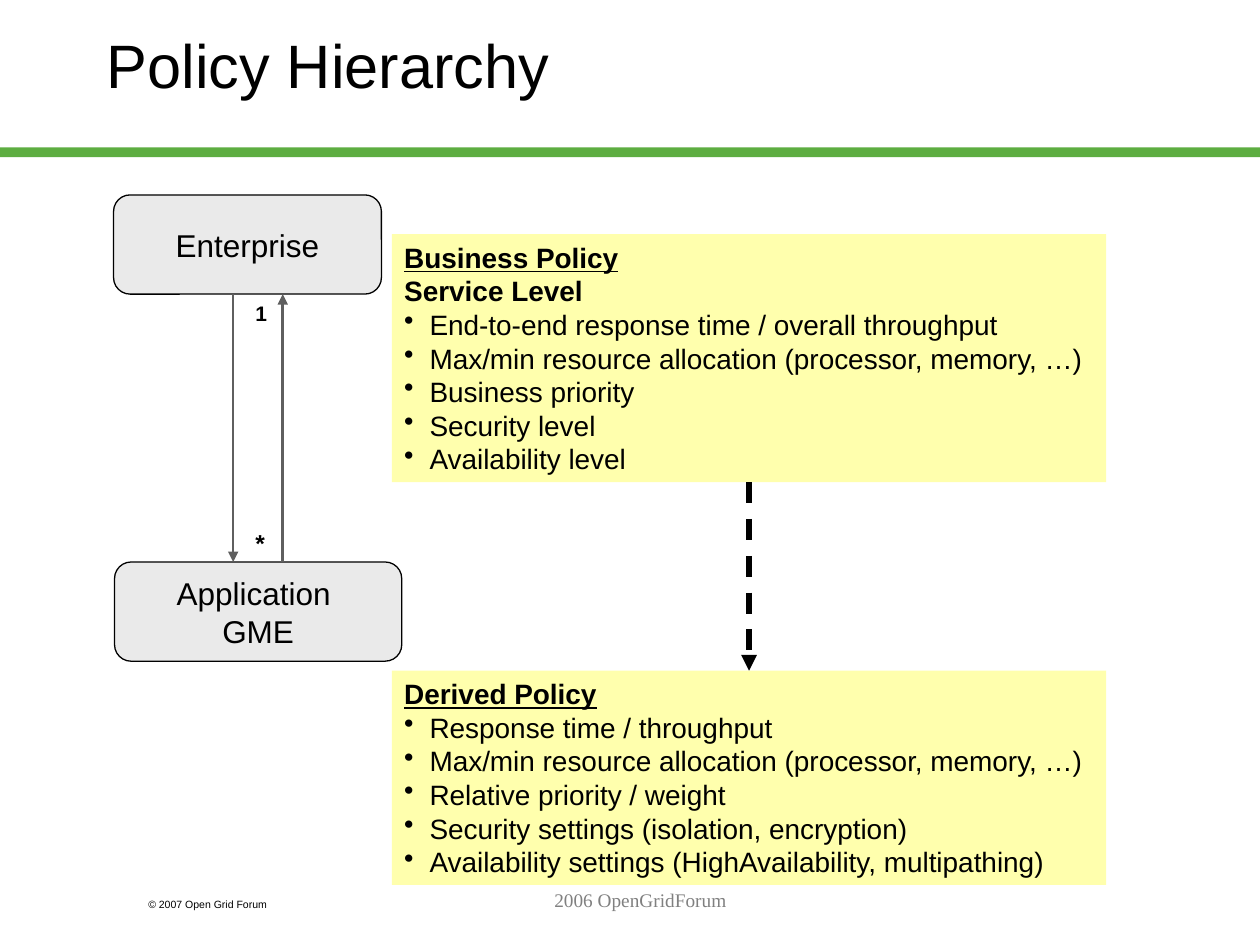
from dataclasses import dataclass

import pptx
import pptx.dml.color
import pptx.enum.dml
import pptx.enum.shapes
import pptx.enum.text
import pptx.oxml.ns
import pptx.util
from lxml import etree

Cm, Pt = pptx.util.Cm, pptx.util.Pt
RGB = pptx.dml.color.RGBColor.from_string
qn = pptx.oxml.ns.qn
MSO = pptx.enum.shapes.MSO_SHAPE
ALIGN = pptx.enum.text.PP_ALIGN
ANCHOR = pptx.enum.text.MSO_ANCHOR


@dataclass(frozen=True)
class Theme:
    font: str = "Arial"
    footer_font: str = "Times New Roman"
    ink: str = "000000"
    bar: str = "5DAD41"
    node: str = "EAEAEA"
    policy: str = "FFFF99"
    arrow: str = "5F5F5F"
    footer: str = "808080"
    title_pt: float = 35
    node_pt: float = 18
    policy_pt: float = 16
    star_pt: float = 14
    label_pt: float = 12
    footer_pt: float = 11
    copyright_pt: float = 6


@dataclass(frozen=True)
class Box:
    left: float
    top: float
    width: float
    height: float

    def lengths(self):
        return Cm(self.left), Cm(self.top), Cm(self.width), Cm(self.height)


@dataclass(frozen=True)
class Node:
    text: str
    box: Box


@dataclass(frozen=True)
class Policy:
    heading: str
    subheading: str
    items: tuple[str, ...]
    box: Box


@dataclass(frozen=True)
class Label:
    text: str
    box: Box
    size: float
    bold: bool = False
    font: str = "Arial"
    color: str = "000000"
    align: ALIGN = ALIGN.LEFT
    wrap: bool = True


T = Theme()

NODES = (
    Node("Application \nGME", Box(2.31, 11.33, 5.79, 2)),
    Node("Enterprise", Box(2.29, 3.93, 5.4, 2)),
)

POLICIES = (
    Policy("Business Policy", "Service Level", (
        "End-to-end response time / overall throughput",
        "Max/min resource allocation (processor, memory, …)",
        "Business priority",
        "Security level",
        "Availability level",
    ), Box(7.9, 4.72, 14.4, 5)),
    Policy("Derived Policy", "", (
        "Response time / throughput",
        "Max/min resource allocation (processor, memory, …)",
        "Relative priority / weight",
        "Security settings (isolation, encryption)",
        "Availability settings (HighAvailability, multipathing)",
    ), Box(7.9, 13.52, 14.4, 4.32)),
)

LABELS = (
    Label("Policy Hierarchy", Box(1.9, 0.43, 21.6, 3.17), T.title_pt),
    Label("1", Box(4.9, 5.93, 0.74, 0.76), T.label_pt, bold=True, wrap=False),
    Label("*", Box(4.9, 10.51, 0.69, 0.86), T.star_pt, bold=True, wrap=False),
    Label("© 2007 Open Grid Forum", Box(2.74, 17.98, 3.81, 0.51), T.copyright_pt),
    Label("2006 OpenGridForum", Box(5.51, 17.78, 14.8, 1.27), T.footer_pt,
          font=T.footer_font, color=T.footer, align=ALIGN.CENTER),
)


def write(p, text: str, *, size: float, font: str = T.font, color: str = T.ink,
          bold: bool = False, underline: bool = False, bullet: bool = False,
          hanging: float = 0, align: ALIGN = ALIGN.LEFT) -> None:
    """Fill a paragraph; a newline in the text becomes a line break."""
    p.alignment = align
    if hanging:
        pPr = p._p.get_or_add_pPr()
        pPr.set("marL", str(Cm(hanging)))
        pPr.set("indent", str(-Cm(hanging)))
        if bullet:
            etree.SubElement(pPr, qn("a:buChar")).set("char", "•")
    for i, line in enumerate(text.split("\n")):
        if i:
            p.add_line_break()
        r = p.add_run()
        r.text = line
        r.font.name, r.font.size = font, Pt(size)
        r.font.bold, r.font.underline = bold, underline
        r.font.color.rgb = RGB(color)


def add_block(s, kind: MSO, box: Box, fill: str, line: str | None = None):
    sp = s.shapes.add_shape(kind, *box.lengths())
    sp.shadow.inherit = False
    sp.fill.solid()
    sp.fill.fore_color.rgb = RGB(fill)
    if line:
        sp.line.color.rgb = RGB(line)
        sp.line.width = Pt(0.75)
    else:
        sp.line.fill.background()
    return sp


def add_node(s, node: Node) -> None:
    sp = add_block(s, MSO.ROUNDED_RECTANGLE, node.box, T.node, T.ink)
    tf = sp.text_frame
    tf.word_wrap = False
    tf.vertical_anchor = ANCHOR.MIDDLE
    write(tf.paragraphs[0], node.text, size=T.node_pt, align=ALIGN.CENTER)


def add_policy(s, policy: Policy):
    sp = add_block(s, MSO.RECTANGLE, policy.box, T.policy)
    color = sp.fill._xPr.find(qn("a:solidFill"))[0]
    etree.SubElement(color, qn("a:alpha")).set("val", "80000")
    tf = sp.text_frame
    tf.word_wrap = True
    tf.vertical_anchor = ANCHOR.TOP
    style = dict(size=T.policy_pt, hanging=0.51)
    write(tf.paragraphs[0], policy.heading, bold=True, underline=True, **style)
    if policy.subheading:
        write(tf.add_paragraph(), policy.subheading, bold=True, **style)
    for item in policy.items:
        write(tf.add_paragraph(), item, bullet=True, **style)
    return sp


def add_label(s, label: Label) -> None:
    tf = s.shapes.add_textbox(*label.box.lengths()).text_frame
    tf.word_wrap = label.wrap
    write(tf.paragraphs[0], label.text, size=label.size, font=label.font,
          color=label.color, bold=label.bold, align=label.align)


def add_arrow(s, x: float, start: float, end: float, color: str, width: float,
              dashed: bool = False):
    """Draw a vertical arrow whose head is at the end."""
    c = s.shapes.add_connector(pptx.enum.shapes.MSO_CONNECTOR.STRAIGHT,
                               Cm(x), Cm(start), Cm(x), Cm(end))
    c.line.color.rgb = RGB(color)
    c.line.width = Pt(width)
    if dashed:
        c.line.dash_style = pptx.enum.dml.MSO_LINE.DASH
    etree.SubElement(c.line._get_or_add_ln(), qn("a:tailEnd")).set("type", "triangle")
    etree.SubElement(c._element.spPr, qn("a:effectLst"))
    return c


def main() -> None:
    prs = pptx.Presentation()
    prs.slide_width, prs.slide_height = Cm(25.4), Cm(19.05)
    s = prs.slides.add_slide(prs.slide_layouts[6])

    # Bar under the title
    add_block(s, MSO.RECTANGLE, Box(0, 2.97, 25.4, 0.2), T.bar)

    # Hierarchy levels and the two arrows between them
    for node in NODES:
        add_node(s, node)
    lower, upper = NODES[0].box.top, NODES[1].box.top + NODES[1].box.height
    add_arrow(s, 4.7, upper, lower, T.arrow, 1.5)
    add_arrow(s, 5.7, lower, upper, T.arrow, 1.5)

    # Policies, the second derived from the first
    business, derived = [add_policy(s, policy) for policy in POLICIES]
    link = add_arrow(s, 15.1, 9.72, 13.52, T.ink, 3, dashed=True)
    link.begin_connect(business, 2)
    link.end_connect(derived, 0)

    # Title, multiplicities and footers
    for label in LABELS:
        add_label(s, label)

    prs.save("out.pptx")


if __name__ == "__main__":
    main()
